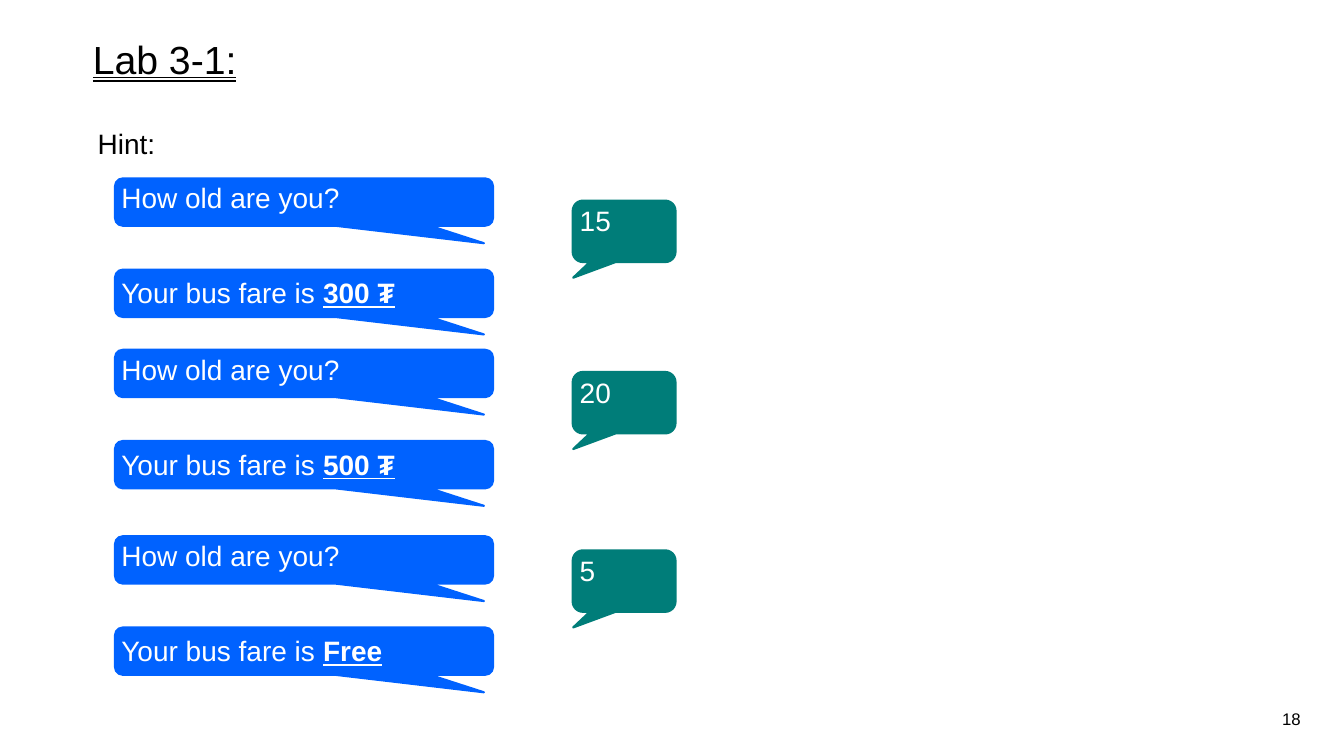
from dataclasses import dataclass

from pptx import Presentation
from pptx.dml.color import RGBColor
from pptx.enum.shapes import MSO_SHAPE
from pptx.enum.text import MSO_ANCHOR, MSO_AUTO_SIZE, MSO_UNDERLINE, PP_ALIGN
from pptx.slide import Slide
from pptx.text.text import TextFrame
from pptx.util import Inches, Pt

BLUE = RGBColor(0x00, 0x62, 0xFF)
TEAL = RGBColor(0x00, 0x7D, 0x79)
BLACK = RGBColor(0x00, 0x00, 0x00)
WHITE = RGBColor(0xFF, 0xFF, 0xFF)


@dataclass(frozen=True)
class CalloutStyle:
    left: float
    width: float
    height: float
    color: RGBColor
    adjustments: tuple[float, float, float]


@dataclass(frozen=True)
class Dialogue:
    top: float
    answer_top: float
    age: str
    fare: str


PROMPT = CalloutStyle(1.14, 3.75, 0.47, BLUE, (0.476, 0.869, 0.167))
ANSWER = CalloutStyle(5.68, 1.02, 0.61, TEAL, (-0.495, 0.755, 0.167))
FARE_OFFSET = 0.905
DIALOGUES = (
    Dialogue(1.77, 1.99, "15", "300 ₮"),
    Dialogue(3.47, 3.69, "20", "500 ₮"),
    Dialogue(5.32, 5.46, "5", "Free"),
)


def add_text(tf: TextFrame, text: str, *, size: float = 20, color: RGBColor = BLACK,
             bold: bool = False, underline: bool | MSO_UNDERLINE = False,
             align: PP_ALIGN = PP_ALIGN.LEFT, spacing: float = 1.0) -> None:
    """Append a formatted run to the first paragraph."""
    p = tf.paragraphs[0]
    p.alignment = align
    p.line_spacing = spacing
    r = p.add_run()
    r.text = text
    r.font.name = "Arial"
    r.font.size = Pt(size)
    r.font.color.rgb = color
    r.font.bold = bold
    r.font.underline = underline


def set_margins(tf: TextFrame, inches: float) -> None:
    tf.margin_left = tf.margin_right = Inches(inches)
    tf.margin_top = tf.margin_bottom = Inches(inches)


def add_callout(s: Slide, style: CalloutStyle, top: float) -> TextFrame:
    sp = s.shapes.add_shape(MSO_SHAPE.ROUNDED_RECTANGULAR_CALLOUT, Inches(style.left),
                            Inches(top), Inches(style.width), Inches(style.height))
    for i, value in enumerate(style.adjustments):
        sp.adjustments[i] = value
    sp.shadow.inherit = False
    sp.fill.solid()
    sp.fill.fore_color.rgb = style.color
    sp.line.color.rgb = style.color
    sp.line.width = Pt(1.5)
    tf = sp.text_frame
    tf.word_wrap = True
    tf.vertical_anchor = MSO_ANCHOR.TOP
    set_margins(tf, 0.04)
    return tf


def add_text_box(s: Slide, left: float, top: float, width: float, height: float) -> TextFrame:
    sp = s.shapes.add_textbox(Inches(left), Inches(top), Inches(width), Inches(height))
    sp.text_frame.word_wrap = True
    return sp.text_frame


def add_title(s: Slide, text: str) -> None:
    title = s.shapes.title
    title.left, title.top = Inches(0.92), Inches(0.4)
    title.width, title.height = Inches(11.5), Inches(0.78)
    tf = title.text_frame
    tf.auto_size = MSO_AUTO_SIZE.NONE
    tf.vertical_anchor = MSO_ANCHOR.TOP
    set_margins(tf, 0)
    add_text(tf, text, size=28, underline=MSO_UNDERLINE.DOUBLE_LINE, spacing=0.9)


def add_dialogue(s: Slide, dialogue: Dialogue) -> None:
    question = add_callout(s, PROMPT, dialogue.top)
    add_text(question, "How old are you?", color=WHITE, spacing=0.9)
    answer = add_callout(s, ANSWER, dialogue.answer_top)
    add_text(answer, dialogue.age, color=WHITE, spacing=0.9)
    fare = add_callout(s, PROMPT, dialogue.top + FARE_OFFSET)
    add_text(fare, "Your bus fare is ", color=WHITE)
    add_text(fare, dialogue.fare, color=WHITE, bold=True, underline=True)


def main() -> None:
    prs = Presentation()
    prs.slide_width, prs.slide_height = Inches(13.33), Inches(7.5)
    s = prs.slides.add_slide(prs.slide_layouts[5])
    add_title(s, "Lab 3-1:")
    hint = add_text_box(s, 0.87, 1.21, 0.81, 0.44)
    hint.auto_size = MSO_AUTO_SIZE.SHAPE_TO_FIT_TEXT
    add_text(hint, "Hint:")
    for dialogue in DIALOGUES:
        add_dialogue(s, dialogue)
    add_text(add_text_box(s, 10.33, 6.98, 2.67, 0.24), "18", size=12, align=PP_ALIGN.RIGHT)
    prs.save("out.pptx")


if __name__ == "__main__":
    main()
